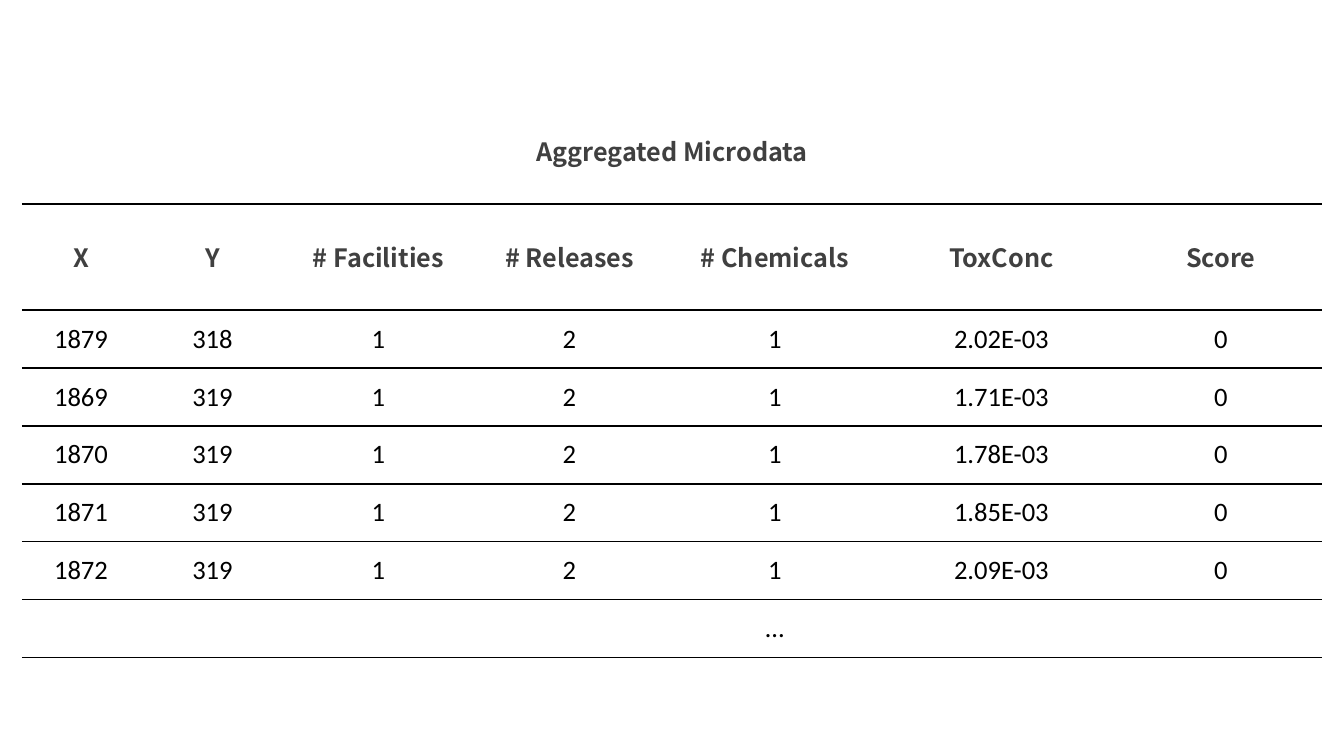
from lxml.etree import SubElement, fromstring
from pptx import Presentation
from pptx.dml.color import RGBColor
from pptx.enum.text import MSO_ANCHOR, PP_ALIGN
from pptx.oxml.ns import nsdecls, qn
from pptx.util import Emu, Pt

TITLE = "Aggregated Microdata"
HEADERS = ["X", "Y", "# Facilities", "# Releases", "# Chemicals", "ToxConc", "Score"]
RECORDS = [
    ["1879", "318", "1", "2", "1", "2.02E-03", "0"],
    ["1869", "319", "1", "2", "1", "1.71E-03", "0"],
    ["1870", "319", "1", "2", "1", "1.78E-03", "0"],
    ["1871", "319", "1", "2", "1", "1.85E-03", "0"],
    ["1872", "319", "1", "2", "1", "2.09E-03", "0"],
    ["", "", "", "", "…", "", ""],
]
COLORS = {"heading": "404040", "body": "000000", "rule": "000000"}
HEADING_STYLE = ("Noto Sans CJK SC", 18, True, "heading")
BODY_STYLE = ("Calibri", 19, False, "body")

SLIDE_WIDTH, SLIDE_HEIGHT = 1344, 756
TABLE_LEFT, TABLE_TOP = 22, 98
COLUMN_WIDTHS = [118, 145, 187, 195, 216, 237, 202]
HEADING_HEIGHT, RECORD_HEIGHT = 106, 58
INSET_X, INSET_Y = 3, 2
HEADING_ROWS = 2
NO_GRID_STYLE = "{2D5ABB26-0587-4C30-8999-92F81FD0307C}"


def px(length):
    return Emu(round(length * 914400 / 100.8))


def add_rules(cell, sides):
    properties = cell._tc.get_or_add_tcPr()
    for position, side in enumerate(sides):
        line = fromstring(f'<a:{side} {nsdecls("a")} w="{Pt(1)}"/>')
        fill = SubElement(line, qn("a:solidFill"))
        SubElement(fill, qn("a:srgbClr"), val=COLORS["rule"])
        properties.insert(position, line)


def write_cell(cell, text, style):
    font_name, size, bold, color = style
    paragraph = cell.text_frame.paragraphs[0]
    paragraph.alignment = PP_ALIGN.CENTER
    run = paragraph.add_run()
    run.text = text
    run.font.name = font_name
    run.font.size = Pt(size)
    run.font.bold = bold
    run.font.color.rgb = RGBColor.from_string(COLORS[color])


def main():
    presentation = Presentation()
    presentation.slide_width = px(SLIDE_WIDTH)
    presentation.slide_height = px(SLIDE_HEIGHT)
    slide = presentation.slides.add_slide(presentation.slide_layouts[6])

    rows = [[TITLE] + [""] * (len(HEADERS) - 1), HEADERS] + RECORDS
    heights = [HEADING_HEIGHT] * HEADING_ROWS + [RECORD_HEIGHT] * len(RECORDS)
    frame = slide.shapes.add_table(
        len(rows), len(HEADERS), px(TABLE_LEFT), px(TABLE_TOP),
        px(sum(COLUMN_WIDTHS)), px(sum(heights)))
    table = frame.table
    table.first_row = table.horz_banding = False
    table._tbl.tblPr.find(qn("a:tableStyleId")).text = NO_GRID_STYLE
    for column, width in zip(table.columns, COLUMN_WIDTHS):
        column.width = px(width)
    for row, height in zip(table.rows, heights):
        row.height = px(height)
    table.cell(0, 0).merge(table.cell(0, len(HEADERS) - 1))

    for row_index, row in enumerate(rows):
        is_heading = row_index < HEADING_ROWS
        for column_index, text in enumerate(row):
            cell = table.cell(row_index, column_index)
            cell.vertical_anchor = MSO_ANCHOR.MIDDLE
            cell.fill.background()
            if not is_heading:
                cell.margin_left = cell.margin_right = px(INSET_X)
                cell.margin_top = cell.margin_bottom = px(INSET_Y)
            add_rules(cell, ["lnT", "lnB"] if row_index else ["lnB"])
            if text:
                write_cell(cell, text, HEADING_STYLE if is_heading else BODY_STYLE)

    presentation.save("out.pptx")


if __name__ == "__main__":
    main()
